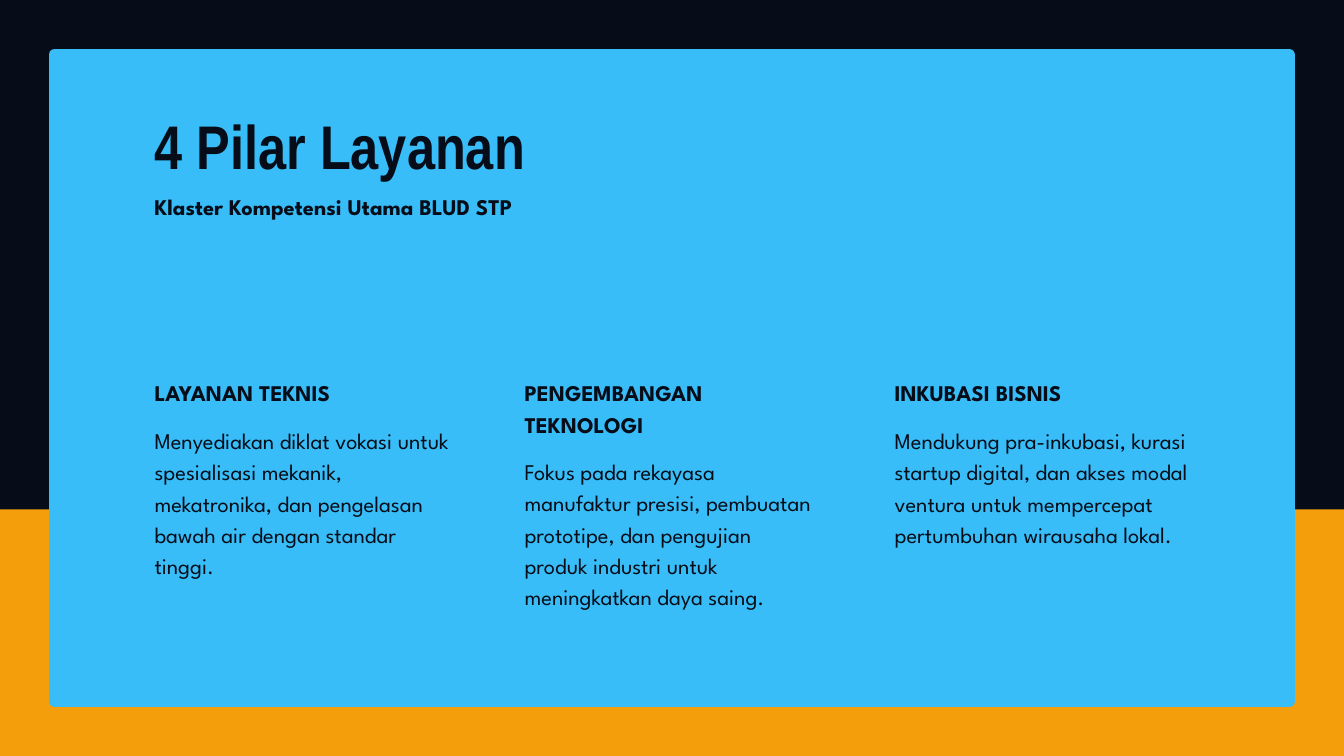
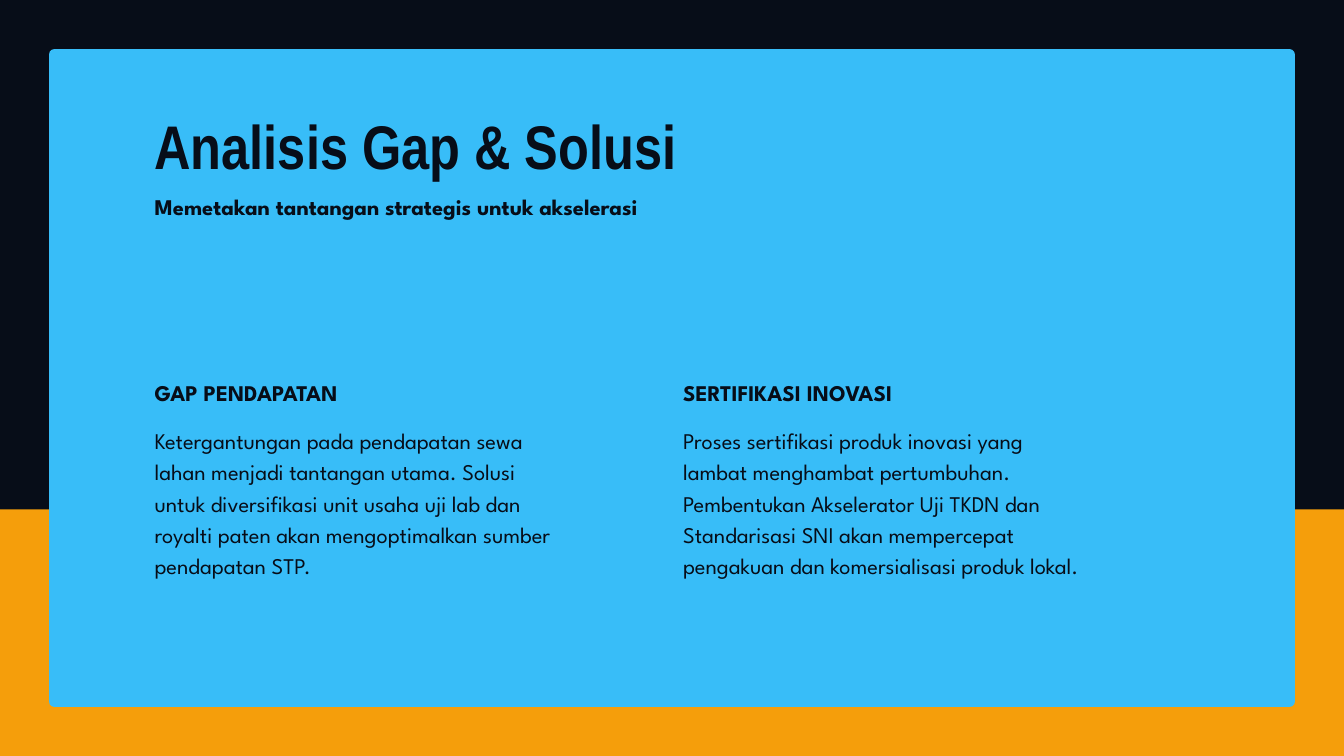
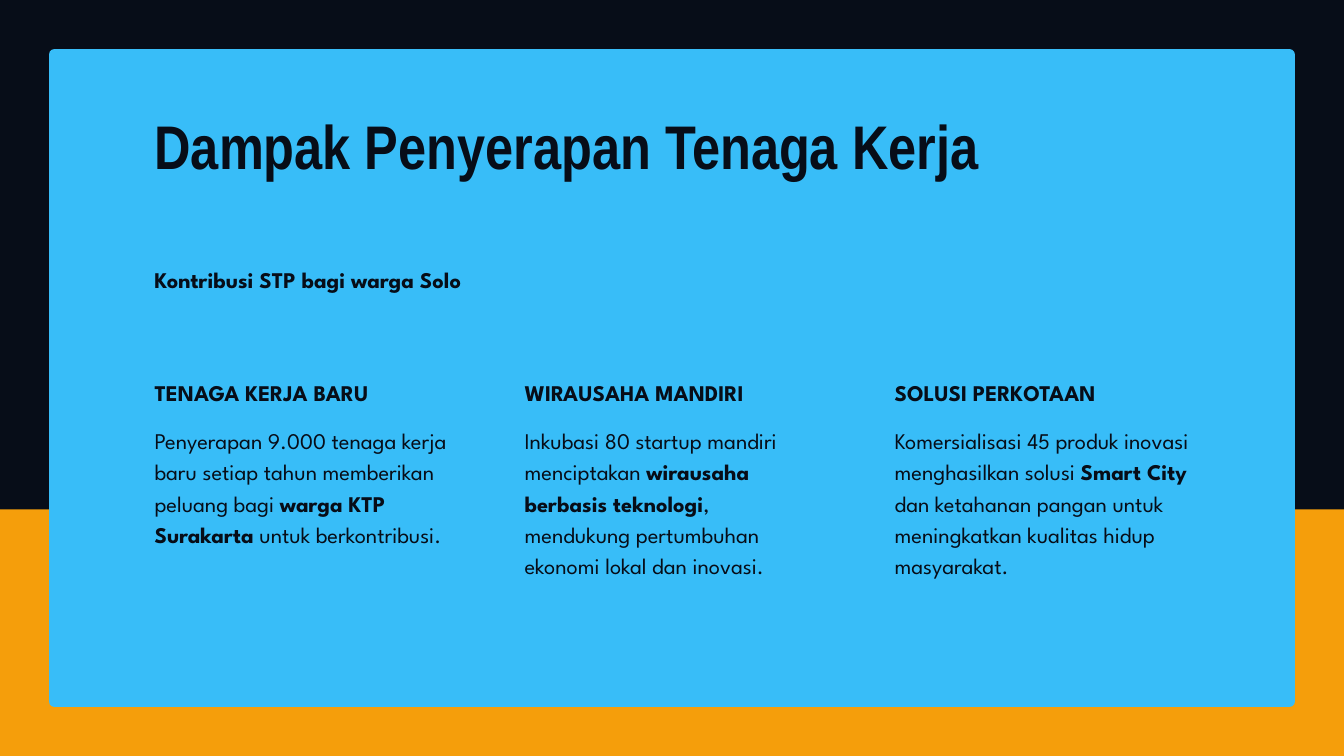
"""Build three slides on service pillars, gaps and job impact."""
import pptx
import pptx.dml.color
import pptx.enum.shapes
import pptx.enum.text
import pptx.util

DECK = [
    dict(title="4 Pilar Layanan", rows=1, span=15.4, gap=1.12,
         sub="Klaster Kompetensi Utama BLUD STP",
         cols=[
             ("LAYANAN TEKNIS", 1, 5, [
                 "Menyediakan diklat vokasi untuk spesialisasi mekanik, "
                 "mekatronika, dan pengelasan bawah air dengan standar tinggi."]),
             ("PENGEMBANGAN TEKNOLOGI", 2, 6, [
                 "Fokus pada rekayasa manufaktur presisi, pembuatan prototipe, "
                 "dan pengujian produk industri untuk meningkatkan daya saing."]),
             ("INKUBASI BISNIS", 1, 5, [
                 "Mendukung pra-inkubasi, kurasi startup digital, dan akses modal "
                 "ventura untuk mempercepat pertumbuhan wirausaha lokal."]),
         ]),
    dict(title="Analisis Gap & Solusi", rows=1, span=13.82, gap=1.91,
         sub="Memetakan tantangan strategis untuk akselerasi",
         cols=[
             ("GAP PENDAPATAN", 1, 6, [
                 "Ketergantungan pada pendapatan sewa lahan menjadi tantangan "
                 "utama. Solusi untuk diversifikasi unit usaha uji lab dan royalti "
                 "paten akan mengoptimalkan sumber pendapatan STP."]),
             ("SERTIFIKASI INOVASI", 1, 6, [
                 "Proses sertifikasi produk inovasi yang lambat menghambat "
                 "pertumbuhan. Pembentukan Akselerator Uji TKDN dan Standarisasi "
                 "SNI akan mempercepat pengakuan dan komersialisasi produk lokal."]),
         ]),
    dict(title="Dampak Penyerapan Tenaga Kerja", rows=2, span=15.4, gap=1.12,
         sub="Kontribusi STP bagi warga Solo",
         cols=[
             ("TENAGA KERJA BARU", 1, 5, [
                 "Penyerapan 9.000 tenaga kerja baru setiap tahun memberikan "
                 "peluang bagi ", "warga KTP Surakarta", " untuk berkontribusi."]),
             ("WIRAUSAHA MANDIRI", 1, 5, [
                 "Inkubasi 80 startup mandiri menciptakan ",
                 "wirausaha berbasis teknologi",
                 ", mendukung pertumbuhan ekonomi lokal dan inovasi."]),
             ("SOLUSI PERKOTAAN", 1, 6, [
                 "Komersialisasi 45 produk inovasi menghasilkan solusi ",
                 "Smart City",
                 " dan ketahanan pangan untuk meningkatkan kualitas hidup "
                 "masyarakat."]),
         ]),
]

INK, AMBER, SKY = "070D18", "F59E0B", "38BDF8"
WIDE, HIGH = 20, 11.25
EDGE, CURVE = 0.73, 0.08
BAND = 7.58
LEFT, TOP, HEADS = 2.3, 1.6, 5.58
DROP = 0.27

Inch, Pt = pptx.util.Inches, pptx.util.Pt
Kind = pptx.enum.shapes.MSO_SHAPE
TITLE = dict(name="Arial Narrow", size=Pt(66), bold=True)
HEAD = dict(name="League Spartan", size=Pt(24), bold=True)
BODY = dict(HEAD, bold=False)
FRAME = dict(margin_left=0, margin_top=0, margin_right=0, margin_bottom=0,
             word_wrap=True, vertical_anchor=pptx.enum.text.MSO_ANCHOR.TOP,
             auto_size=pptx.enum.text.MSO_AUTO_SIZE.SHAPE_TO_FIT_TEXT)


def apply(item, style):
    for key, val in style.items():
        setattr(item, key, val)


def paint(fill, tone):
    fill.solid()
    fill.fore_color.rgb = pptx.dml.color.RGBColor.from_string(tone)


def block(slide, kind, tone, *area):
    shape = slide.shapes.add_shape(kind, *map(Inch, area))
    shape.shadow.inherit = False
    paint(shape.fill, tone)
    shape.line.fill.background()
    return shape


def tall(rows):
    return 0.46 * rows - 0.02


def write(box, area, parts, style):
    apply(box, dict(zip(("left", "top", "width", "height"), map(Inch, area))))
    apply(box.text_frame, FRAME)
    para = box.text_frame.paragraphs[0]
    apply(para, dict(alignment=pptx.enum.text.PP_ALIGN.LEFT,
                     line_spacing=Pt(style["size"].pt * (1.2 if style is TITLE else 1.4))))
    for num, part in enumerate(parts):
        run = para.add_run()
        run.text = part
        apply(run.font, dict(style, bold=style["bold"] or num % 2 == 1))
        paint(run.font.fill, INK)


def label(slide, area, parts, style):
    write(slide.shapes.add_textbox(0, 0, 0, 0), area, parts, style)


def build(deck, data):
    slide = deck.slides.add_slide(deck.slide_layouts[5])
    block(slide, Kind.RECTANGLE, AMBER, 0, BAND, WIDE, HIGH - BAND)
    high = HIGH - 2 * EDGE
    card = block(slide, Kind.ROUNDED_RECTANGLE, SKY,
                 EDGE, EDGE, WIDE - 2 * EDGE, high)
    card.adjustments[0] = CURVE / high

    title, span = slide.shapes.title, data["span"]
    slide.shapes.element.append(title.element)
    deep = 1.1 * data["rows"] + 0.1
    write(title, (LEFT, TOP, span, deep), [data["title"]], TITLE)
    label(slide, (LEFT, TOP + deep, span, tall(1)), [data["sub"]], HEAD)

    cols, gap = data["cols"], data["gap"]
    wide = (span - gap * (len(cols) - 1)) / len(cols)
    for num, (head, rows, lines, parts) in enumerate(cols):
        left = LEFT + num * (wide + gap)
        label(slide, (left, HEADS, wide, tall(rows)), [head], HEAD)
        label(slide, (left, HEADS + tall(rows) + DROP, wide, tall(lines)), parts, BODY)


def main():
    deck = pptx.Presentation()
    apply(deck, dict(slide_width=Inch(WIDE), slide_height=Inch(HIGH)))
    paint(deck.slide_master.background.fill, INK)
    for data in DECK:
        build(deck, data)
    deck.save("out.pptx")


if __name__ == "__main__":
    main()
